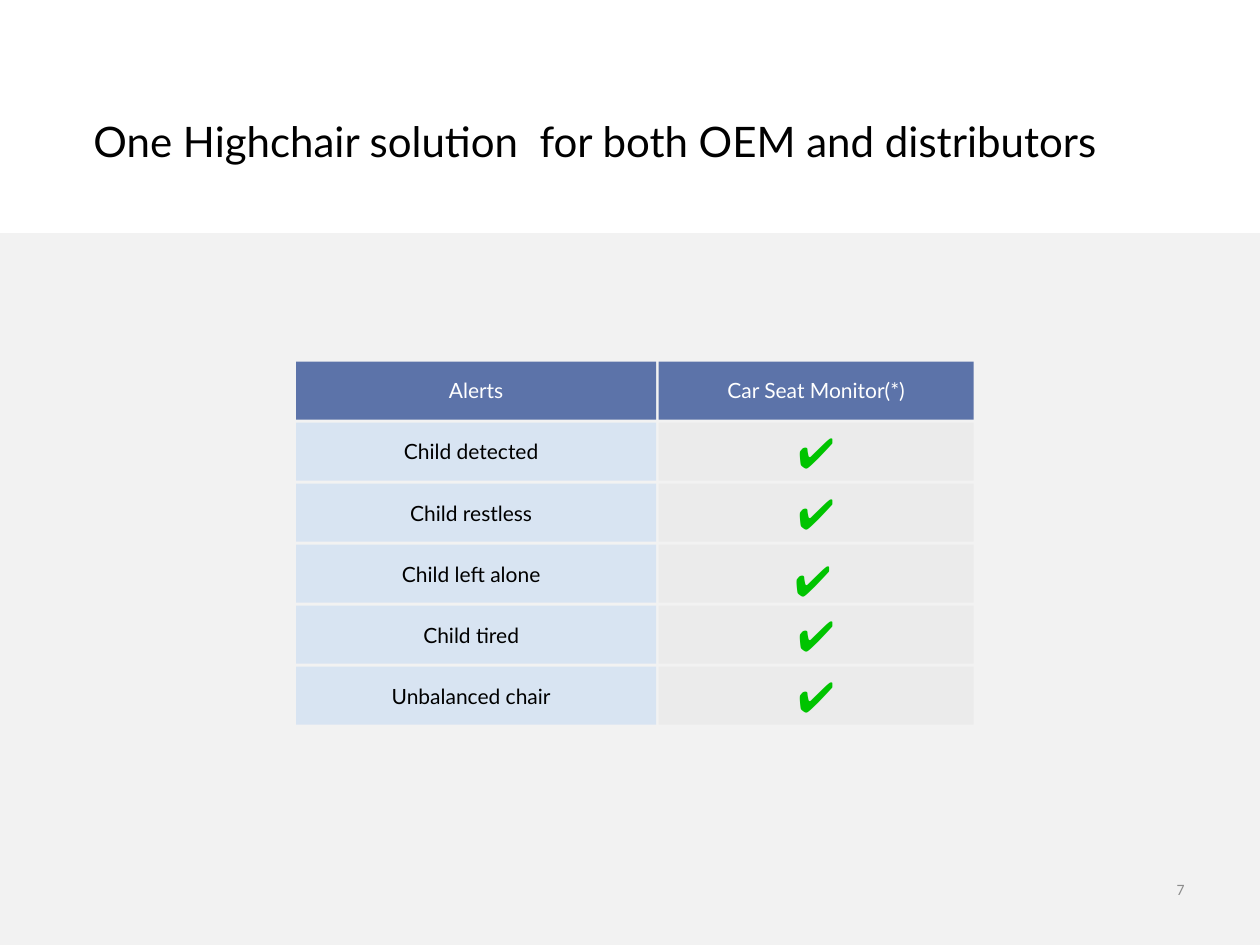
from pptx import Presentation
from pptx.dml.color import RGBColor
from pptx.enum.shapes import MSO_SHAPE
from pptx.enum.text import MSO_ANCHOR, PP_ALIGN
from pptx.util import Cm, Pt

RECTANGLE = MSO_SHAPE.RECTANGLE
TOP, MIDDLE = MSO_ANCHOR.TOP, MSO_ANCHOR.MIDDLE
LEFT, CENTER, RIGHT = PP_ALIGN.LEFT, PP_ALIGN.CENTER, PP_ALIGN.RIGHT

TITLE_ONLY = 5
CHECK = "✔"


def color(hex_string):
    return RGBColor.from_string(hex_string)


class SlideBuilder:
    text_font, check_font, number_font = "Lato", "Roboto", "Calibri"
    black, white, gray = "000000", "FFFFFF", "8C8C8C"
    panel, header, label, cell, green = "F2F2F2", "5C73A9", "D8E4F2", "EBEBEB", "00C400"

    def __init__(self, deck):
        self.page = deck.slides.add_slide(deck.slide_layouts[TITLE_ONLY])

    def add_text(self, shape, text, size, font, ink, align, anchor=MIDDLE):
        frame = shape.text_frame
        frame.word_wrap = True
        frame.vertical_anchor = anchor
        para = frame.paragraphs[0]
        para.alignment = align
        span = para.add_run()
        span.text = text
        span.font.size = Pt(size)
        span.font.name = font
        span.font.color.rgb = color(ink)
        return para

    def title(self, text, left, top, width, height):
        box = self.page.shapes.title
        box.left, box.top, box.width, box.height = Cm(left), Cm(top), Cm(width), Cm(height)
        para = self.add_text(box, text, 24, self.text_font, self.black, LEFT)
        para.line_spacing = 0.9

    def rectangle(self, left, top, width, height, fill):
        box = self.page.shapes.add_shape(RECTANGLE, Cm(left), Cm(top), Cm(width), Cm(height))
        box.shadow.inherit = False
        box.fill.solid()
        box.fill.fore_color.rgb = color(fill)
        box.line.fill.background()
        return box

    def grid_cell(self, left, top, width, height, fill, text, size, font, ink, right_inset=0):
        box = self.rectangle(left, top, width, height, fill)
        frame = box.text_frame
        frame.margin_left, frame.margin_right = Cm(0), Cm(right_inset)
        self.add_text(box, text, size, font, ink, CENTER)

    def text_box(self, left, top, width, height, *style):
        box = self.page.shapes.add_textbox(Cm(left), Cm(top), Cm(width), Cm(height))
        self.add_text(box, *style)


def main():
    deck = Presentation()
    deck.slide_width, deck.slide_height = Cm(25.4), Cm(19.05)
    slide = SlideBuilder(deck)

    # Background panel and title
    panel = slide.rectangle(0, 4.7, 25.4, 14.35, slide.panel)
    tree = slide.page.shapes.title.element.getparent()
    tree.remove(panel.element)
    tree.insert(2, panel.element)  # behind the title
    slide.title("One Highchair solution  for both OEM and distributors", 1.63, 1.8, 22.5, 2.21)

    # Grid of alerts: labels on the left, check marks on the right
    grid_top, row_step, row_height = 7.29, 1.23, 1.17
    label_column, check_column = (5.97, 7.26), (13.28, 6.35)
    alerts = ["Child detected", "Child restless", "Child left alone", "Child tired", "Unbalanced chair"]

    for (left, width), heading in zip((label_column, check_column), ("Alerts", "Car Seat Monitor(*)")):
        slide.grid_cell(left, grid_top, width, row_height, slide.header,
                        heading, 12, slide.text_font, slide.white)

    for row, alert in enumerate(alerts, start=1):
        top = grid_top + row * row_step
        left, width = label_column
        slide.grid_cell(left, top, width, row_height, slide.label,
                        alert, 12, slide.text_font, slide.black, right_inset=0.2)
        left, width = check_column
        check_style = (CHECK, 24, slide.check_font, slide.green)
        if alert == "Child left alone":
            # This check mark sits in its own box, slightly off the grid
            slide.rectangle(left, top, width, row_height, slide.cell)
            slide.text_box(15.77, 11.05, 1.45, 1.3, *check_style, LEFT, TOP)
        else:
            slide.grid_cell(left, top, width, row_height, slide.cell, *check_style)

    # Page number
    slide.text_box(21.51, 17.42, 2.62, 1.02, "7", 9, slide.number_font, slide.gray, RIGHT)

    deck.save("out.pptx")


if __name__ == "__main__":
    main()
